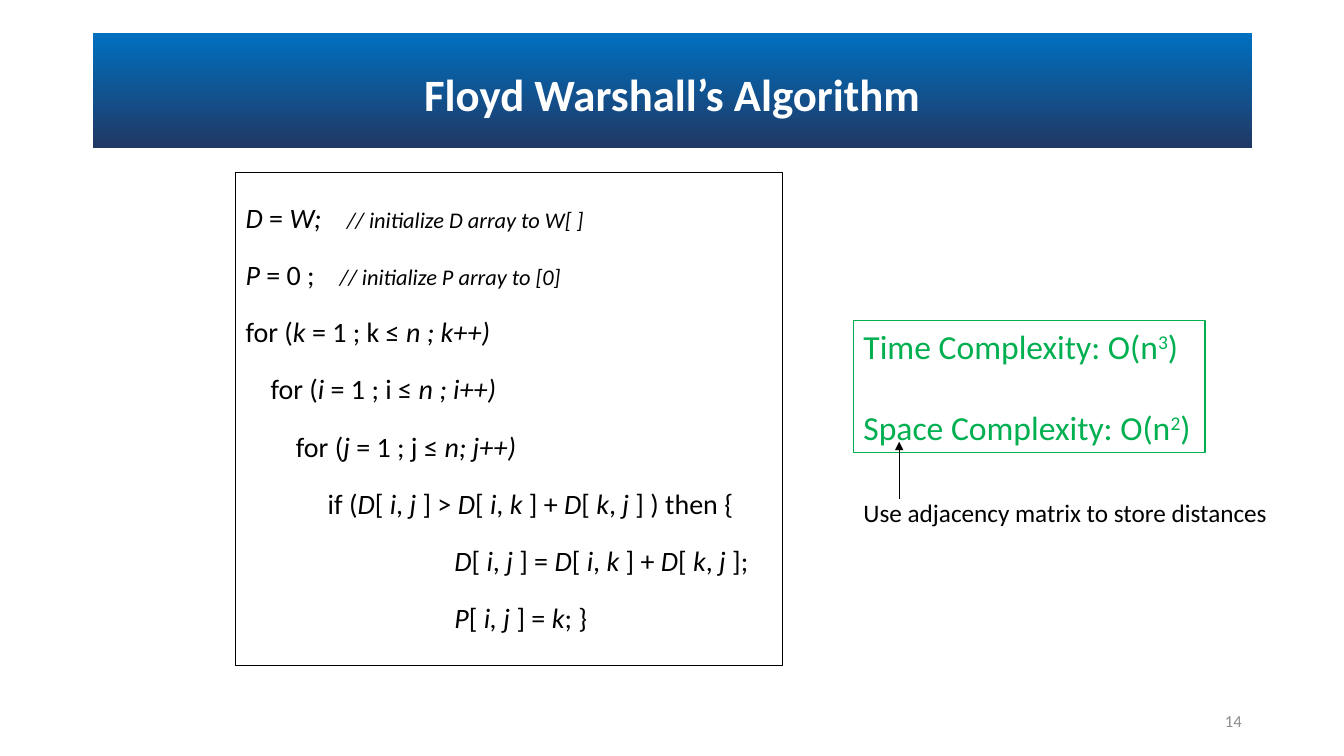
from lxml import etree
from pptx import Presentation, util as u
from pptx.dml.color import RGBColor
from pptx.enum import shapes, text
from pptx.oxml.ns import qn

COLORS = {"white": "FFFFFF", "black": "000000", "green": "00B050",
          "grey": "8C8C8C", "band_top": "0070C0", "band_bottom": "203864"}
FONT = "Calibri"

# (indent in cm, code, comment, comment position in cm); *...* is italic
CODE = [
    (0, "*D* = *W;*", "// initialize D array to W[ ]", 2.55),
    (0, "*P* = 0 ;", "// initialize P array to [0]", 2.37),
    (0, "for (*k* = 1 ; k ≤ *n ; k++)*", None, None),
    (0.63, "for (*i* = 1 ; i ≤ *n ; i++)*", None, None),
    (1.27, "for (*j* = 1 ; j ≤ *n; j++)*", None, None),
    (2.07, "if (*D*[ *i*, *j* ] > *D*[ *i*, *k* ] + *D*[ *k*, *j* ] ) then {",
     None, None),
    (5.26, "*D*[ *i*, *j* ] = *D*[ *i*, *k* ] + *D*[ *k*, *j* ];", None, None),
    (5.26, "*P*[ *i, j* ] = *k*; }", None, None),
]
COMPLEXITY = [("Time Complexity: O(n", "3"), ("Space Complexity: O(n", "2")]


def rgb(name):
    return RGBColor.from_string(COLORS[name])


def cm(*lengths):
    return [u.Cm(length) for length in lengths]


def write(p, content, size, color="black", bold=False, italic=False, raised=False):
    """Add runs to p; parts between asterisks switch the italic setting."""
    for i, part in enumerate(content.split("*")):
        if not part:
            continue
        r = p.add_run()
        r.text = part
        f = r.font
        f.name, f.size, f.bold = FONT, u.Pt(size), bold
        f.italic = italic != bool(i % 2)
        f.color.rgb = rgb(color)
        if raised:
            r._r.get_or_add_rPr().set("baseline", "30000")


def add_tab_stop(p, position):
    tabs = etree.SubElement(p._p.get_or_add_pPr(), qn("a:tabLst"))
    etree.SubElement(tabs, qn("a:tab"), pos=str(u.Cm(position)), algn="l")


def add_rect(s, box, line=None, width=1):
    sp = s.shapes.add_shape(shapes.MSO_SHAPE.RECTANGLE, *cm(*box))
    sp.shadow.inherit = False
    sp.fill.background()
    if line:
        sp.line.color.rgb = rgb(line)
        sp.line.width = u.Pt(width)
    else:
        sp.line.fill.background()
    return sp


def add_label(s, box, content, size, color="black", align=text.PP_ALIGN.LEFT,
              anchor=text.MSO_ANCHOR.TOP):
    tf = s.shapes.add_textbox(*cm(*box)).text_frame
    tf.word_wrap = True
    tf.vertical_anchor = anchor
    tf.paragraphs[0].alignment = align
    write(tf.paragraphs[0], content, size, color)


def add_title(s, box, content):
    left, top, width, height = box
    band = add_rect(s, box)
    band.fill.gradient()
    band.fill.gradient_angle = 270
    for stop, color in zip(band.fill.gradient_stops, ("band_top", "band_bottom")):
        stop.color.rgb = rgb(color)
    title = s.shapes.title
    title._element.addprevious(band._element)
    title.left, title.top, title.width, title.height = cm(
        left, top + 0.25, width, height - 0.21)
    tf = title.text_frame
    tf.vertical_anchor = text.MSO_ANCHOR.MIDDLE
    p = tf.paragraphs[0]
    p.alignment = text.PP_ALIGN.CENTER
    p.line_spacing = 0.9
    write(p, content, 32, "white", bold=True)


def add_code(s, box):
    tf = add_rect(s, box, "black", 0.75).text_frame
    tf.word_wrap = True
    tf.vertical_anchor = text.MSO_ANCHOR.TOP
    for i, (indent, code, comment, position) in enumerate(CODE):
        p = tf.add_paragraph() if i else tf.paragraphs[0]
        p.alignment = text.PP_ALIGN.LEFT
        p.line_spacing = u.Pt(40.8)
        p._p.get_or_add_pPr().set("marL", str(u.Cm(indent)))
        write(p, code, 20)
        if comment:
            add_tab_stop(p, position)
            write(p, "\t" + comment, 16, italic=True)


def add_complexity(s, box):
    """Complexity box with an arrow from the note below it."""
    left, top, width, height = box
    tf = add_rect(s, box, "green").text_frame
    tf.word_wrap = False
    tf.vertical_anchor = text.MSO_ANCHOR.TOP
    for i, (bound, power) in enumerate(COMPLEXITY):
        p = tf.add_paragraph() if i else tf.paragraphs[0]
        p.alignment = text.PP_ALIGN.LEFT
        p.space_before = u.Pt(29 * i)
        write(p, bound, 24, "green")
        write(p, power, 24, "green", raised=True)
        write(p, ")", 24, "green")

    bottom = top + height
    add_label(s, (left, bottom + 0.99, 10.77, 1.02),
              "Use adjacency matrix to store distances", 18)
    x = left + 1.15
    arrow = s.shapes.add_connector(shapes.MSO_CONNECTOR.STRAIGHT,
                                   *cm(x, bottom + 1.16, x, bottom - 0.28))
    arrow.line.color.rgb = rgb("black")
    arrow.line.width = u.Pt(0.5)
    etree.SubElement(arrow.line._get_or_add_ln(), qn("a:tailEnd"), type="triangle")
    etree.SubElement(arrow._element.spPr, qn("a:effectLst"))


def main():
    prs = Presentation()
    prs.slide_width, prs.slide_height = cm(33.87, 19.05)
    s = prs.slides.add_slide(prs.slide_layouts[5])
    add_title(s, (2.34, 0.84, 29.21, 2.9), "Floyd Warshall’s Algorithm")
    add_code(s, (5.94, 4.34, 13.77, 12.42))
    add_complexity(s, (21.51, 8.08, 8.86, 3.33))
    add_label(s, (23.93, 17.65, 7.62, 1.02), "14", 12, "grey",
              text.PP_ALIGN.RIGHT, text.MSO_ANCHOR.MIDDLE)
    prs.save("out.pptx")


if __name__ == "__main__":
    main()
